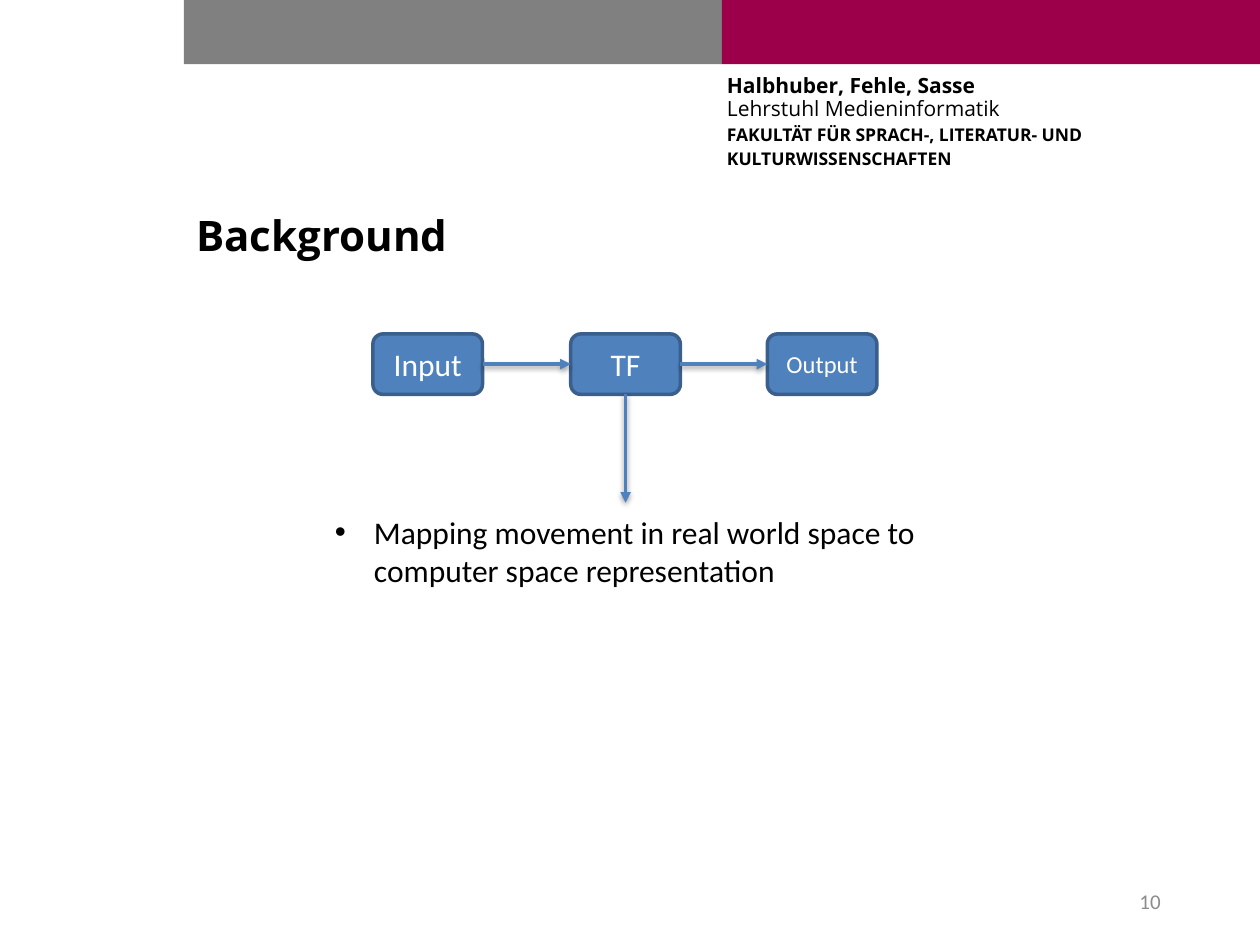
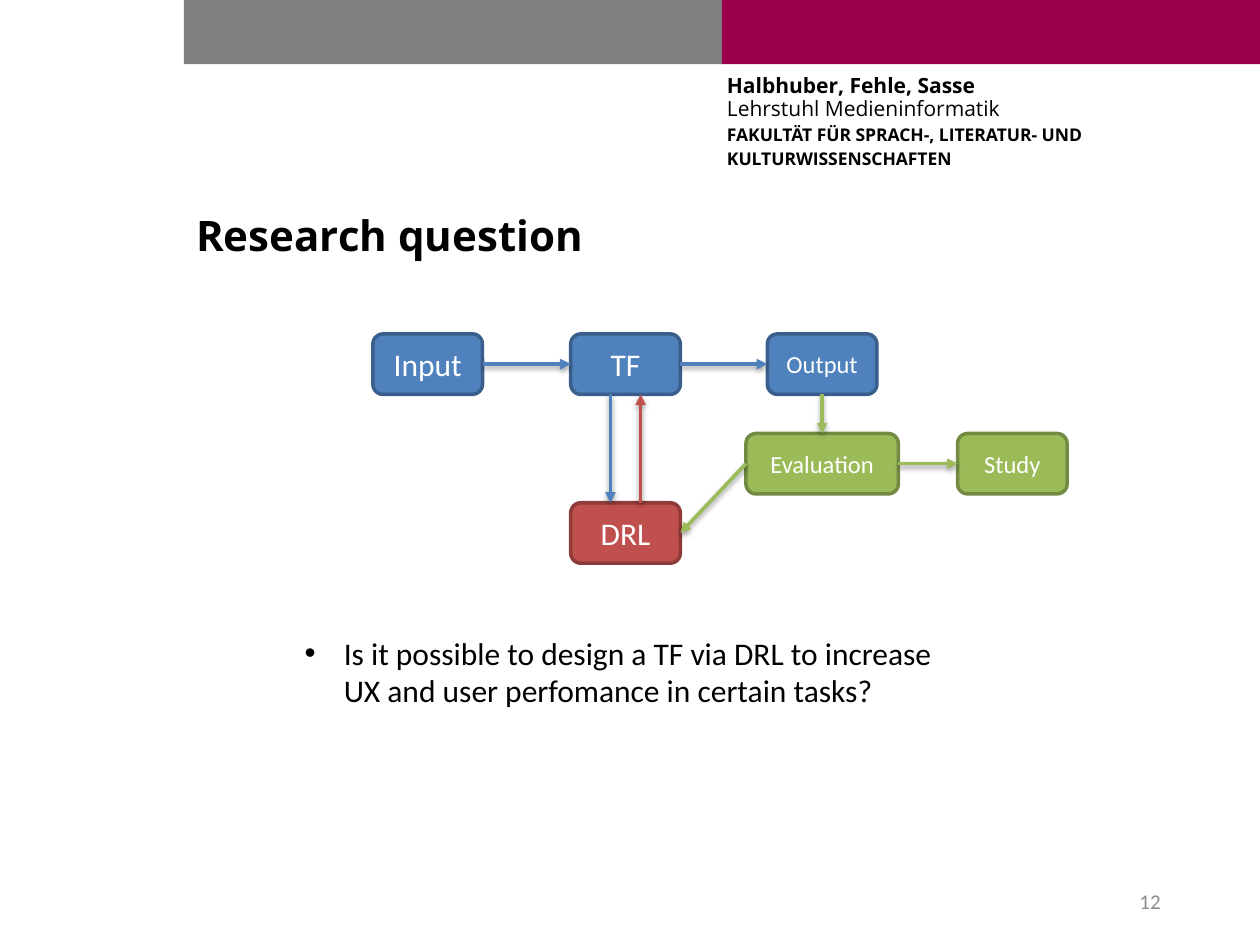
from lxml.etree import SubElement
from pptx import Presentation
from pptx.dml.color import RGBColor
from pptx.enum.shapes import MSO_CONNECTOR, MSO_SHAPE
from pptx.enum.text import MSO_ANCHOR, PP_ALIGN
from pptx.oxml import parse_xml
from pptx.oxml.ns import nsdecls, qn
from pptx.util import Inches, Pt

BLACK = RGBColor(0x00, 0x00, 0x00)
WHITE = RGBColor(0xFF, 0xFF, 0xFF)
GRAY = RGBColor(0x80, 0x80, 0x80)
MAGENTA = RGBColor(0x9C, 0x00, 0x4B)
NUMBER_GRAY = RGBColor(0x8C, 0x8C, 0x8C)
BLUE = RGBColor(0x4F, 0x81, 0xBD)
RED = RGBColor(0xC0, 0x50, 0x4D)
GREEN = RGBColor(0x9B, 0xBB, 0x59)
BORDERS = {
    BLUE: RGBColor(0x3A, 0x5F, 0x8C),
    RED: RGBColor(0x8E, 0x3B, 0x39),
    GREEN: RGBColor(0x73, 0x8A, 0x42),
}

BOX_W, BOX_H = 0.87, 0.48
COLS = [2.96, 4.53, 6.09]
TOP, EVAL_TOP, DRL_TOP = 2.65, 3.44, 3.99
EVAL_X, EVAL_W, STUDY_X = 5.92, 1.21, 7.6
MID = TOP + BOX_H / 2
BOTTOM = TOP + BOX_H
EVAL_MID = EVAL_TOP + BOX_H / 2
TF_X = COLS[1] + BOX_W / 2
OUTPUT_X = COLS[2] + BOX_W / 2

SHADOW = (
    f'<a:effectLst {nsdecls("a")}><a:outerShdw blurRad="40000" dist="20000" dir="5400000" '
    'rotWithShape="0"><a:srgbClr val="000000"><a:alpha val="38000"/></a:srgbClr>'
    '</a:outerShdw></a:effectLst>'
)


def write(p, text, size=18, font="Calibri", color=BLACK, bold=False,
          align=PP_ALIGN.LEFT, after=0, spacing=1.0, bullet=False):
    p.alignment = align
    p.space_after = Pt(after)
    p.line_spacing = spacing
    r = p.add_run()
    r.text = text
    r.font.size = Pt(size)
    r.font.name = font
    r.font.bold = bold
    r.font.color.rgb = color
    if bullet:
        pPr = p._p.get_or_add_pPr()
        pPr.set("marL", str(Inches(0.31)))
        pPr.set("indent", str(-Inches(0.31)))
        SubElement(pPr, qn("a:buFont")).set("typeface", "Arial")
        SubElement(pPr, qn("a:buChar")).set("char", "•")


def add_arrow(s, x1, y1, x2, y2, color):
    c = s.shapes.add_connector(
        MSO_CONNECTOR.STRAIGHT, Inches(x1), Inches(y1), Inches(x2), Inches(y2))
    c.line.color.rgb = color
    c.line.width = Pt(2)
    SubElement(c.line._get_or_add_ln(), qn("a:tailEnd")).set("type", "triangle")
    c._element.spPr.append(parse_xml(SHADOW))


chain_boxes = [
    ("Input", COLS[0], TOP, BOX_W, BLUE, 18),
    ("TF", COLS[1], TOP, BOX_W, BLUE, 18),
    ("Output", COLS[2], TOP, BOX_W, BLUE, 14),
]
chain_arrows = [
    (left + BOX_W, MID, right, MID, BLUE) for left, right in zip(COLS, COLS[1:])
]

slides = [
    {
        "title": "Background",
        "number": "10",
        "bullet": "Mapping movement in real world space to computer space representation",
        "bullet_at": (2.56, 4.02),
        "boxes": chain_boxes,
        "arrows": chain_arrows + [(TF_X, BOTTOM, TF_X, DRL_TOP, BLUE)],
    },
    {
        "title": "Research question",
        "number": "12",
        "bullet": "Is it possible to design a TF via DRL to increase UX and user "
                  "perfomance in certain tasks?",
        "bullet_at": (2.32, 4.98),
        "boxes": chain_boxes + [
            ("DRL", COLS[1], DRL_TOP, BOX_W, RED, 18),
            ("Evaluation", EVAL_X, EVAL_TOP, EVAL_W, GREEN, 14),
            ("Study", STUDY_X, EVAL_TOP, BOX_W, GREEN, 14),
        ],
        "arrows": chain_arrows + [
            (TF_X - 0.12, BOTTOM, TF_X - 0.12, DRL_TOP, BLUE),
            (TF_X + 0.12, DRL_TOP, TF_X + 0.12, BOTTOM, RED),
            (OUTPUT_X, BOTTOM, OUTPUT_X, EVAL_TOP, GREEN),
            (EVAL_X, EVAL_MID, COLS[1] + BOX_W, DRL_TOP + BOX_H / 2, GREEN),
            (EVAL_X + EVAL_W, EVAL_MID, STUDY_X, EVAL_MID, GREEN),
        ],
    },
]

prs = Presentation()
prs.slide_width = Inches(10)
prs.slide_height = Inches(7.5)

for content in slides:
    s = prs.slides.add_slide(prs.slide_layouts[6])

    for x, color in ((1.46, GRAY), (5.73, MAGENTA)):
        band = s.shapes.add_shape(
            MSO_SHAPE.RECTANGLE, Inches(x), 0, Inches(4.27), Inches(0.51))
        band.shadow.inherit = False
        band.fill.solid()
        band.fill.fore_color.rgb = color
        band.line.fill.background()

    header = s.shapes.add_textbox(Inches(5.77), Inches(0.6), Inches(4.04), Inches(0.94))
    tf = header.text_frame
    tf.word_wrap = True
    tf.margin_left = tf.margin_top = tf.margin_right = tf.margin_bottom = 0
    style = {"font": "Open Sans", "after": 3, "spacing": 0.9}
    p = tf.paragraphs[0]
    write(p, "Halbhuber, Fehle, Sasse", size=12, bold=True, **style)
    p.add_line_break()
    write(p, "Lehrstuhl Medieninformatik", size=12, **style)
    for line in ("FAKULTÄT FÜR SPRACH-, LITERATUR- UND", "KULTURWISSENSCHAFTEN"):
        write(tf.add_paragraph(), line, size=10, bold=True, **style)

    texts = [
        (content["title"], (1.46, 1.64, 7.86, 0.76), MSO_ANCHOR.TOP,
         {"size": 24, "font": "Open Sans", "bold": True, "spacing": 0.95}),
        (content["number"], (7.06, 6.95, 2.25, 0.4), MSO_ANCHOR.MIDDLE,
         {"size": 12, "color": NUMBER_GRAY, "align": PP_ALIGN.RIGHT}),
        (content["bullet"], (*content["bullet_at"], 5.51, 0.71), MSO_ANCHOR.TOP,
         {"bullet": True}),
    ]
    for text, at, anchor, style in texts:
        tf = s.shapes.add_textbox(*map(Inches, at)).text_frame
        tf.word_wrap = True
        tf.vertical_anchor = anchor
        write(tf.paragraphs[0], text, **style)

    for label, x, y, width, color, size in content["boxes"]:
        sp = s.shapes.add_shape(
            MSO_SHAPE.ROUNDED_RECTANGLE, Inches(x), Inches(y), Inches(width), Inches(BOX_H))
        sp.shadow.inherit = False
        sp.fill.solid()
        sp.fill.fore_color.rgb = color
        sp.line.color.rgb = BORDERS[color]
        sp.line.width = Pt(2)
        tf = sp.text_frame
        tf.word_wrap = True
        tf.vertical_anchor = MSO_ANCHOR.MIDDLE
        write(tf.paragraphs[0], label, size=size, color=WHITE, align=PP_ALIGN.CENTER)

    for arrow in content["arrows"]:
        add_arrow(s, *arrow)

prs.save("out.pptx")
